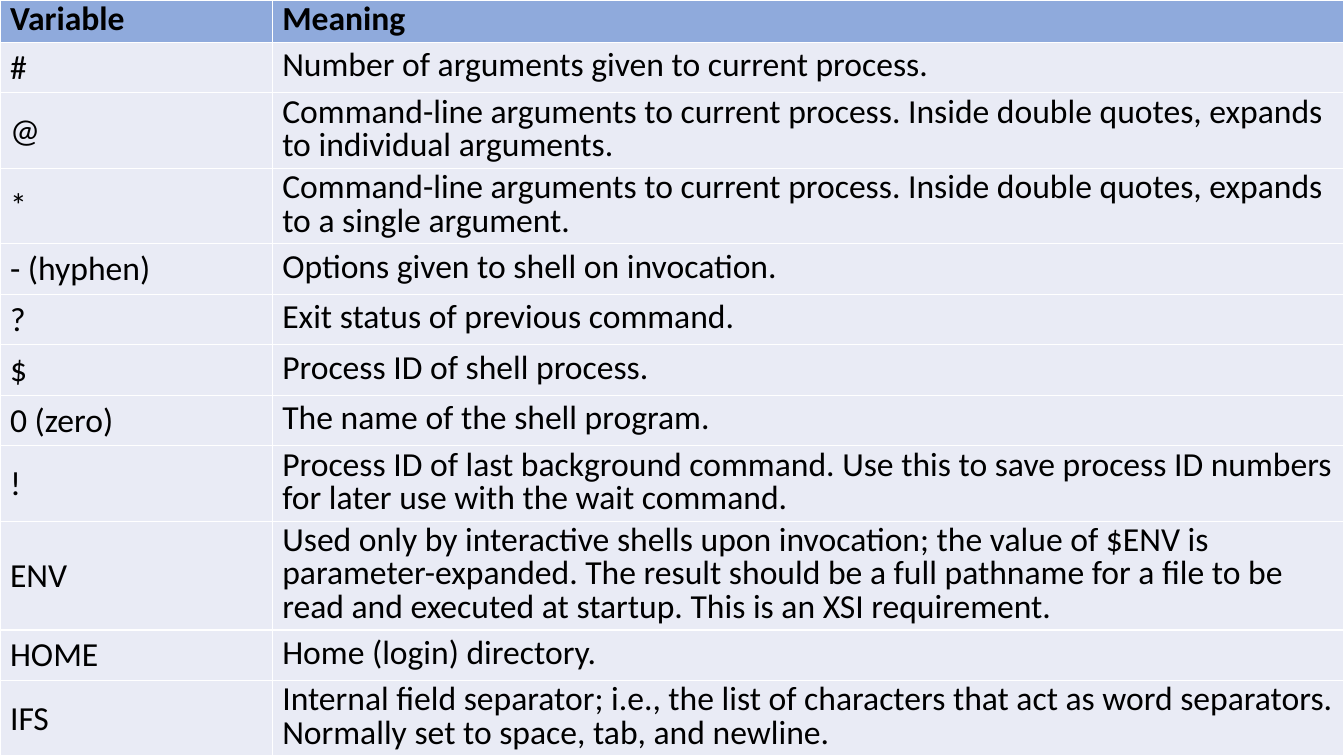
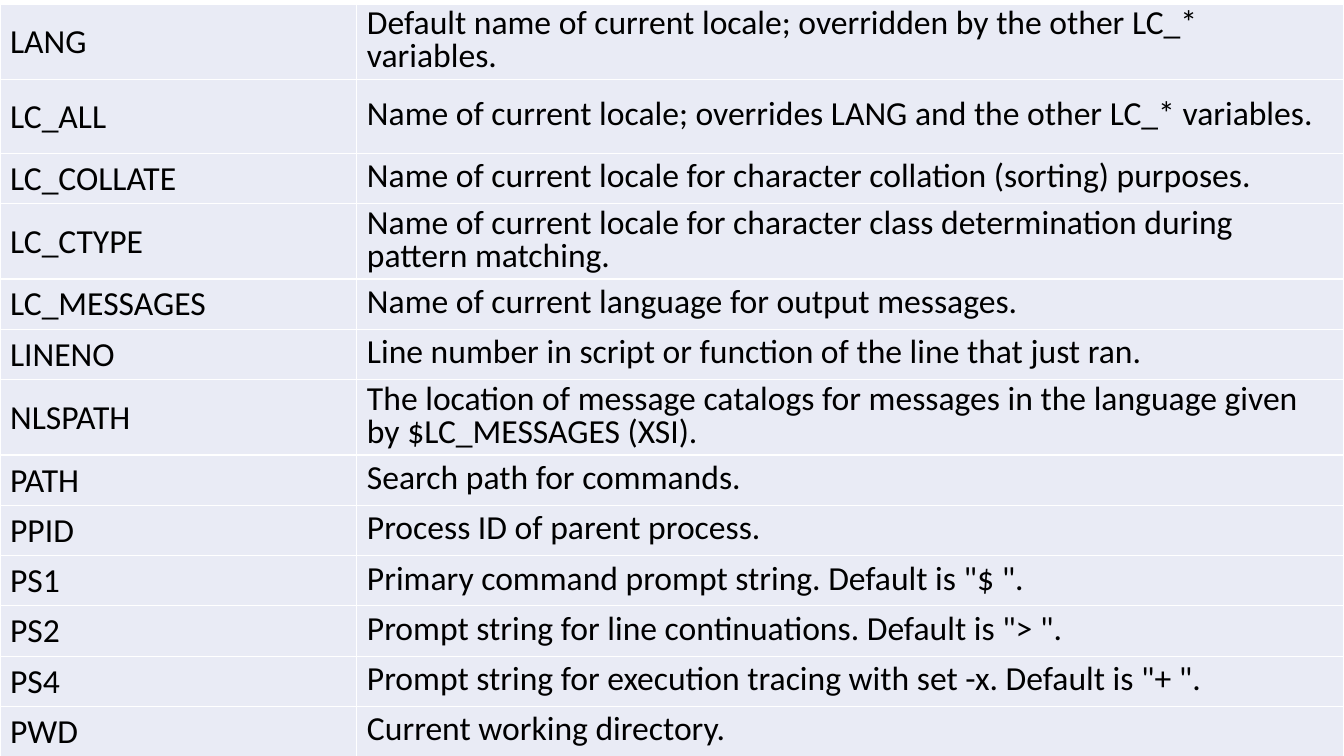
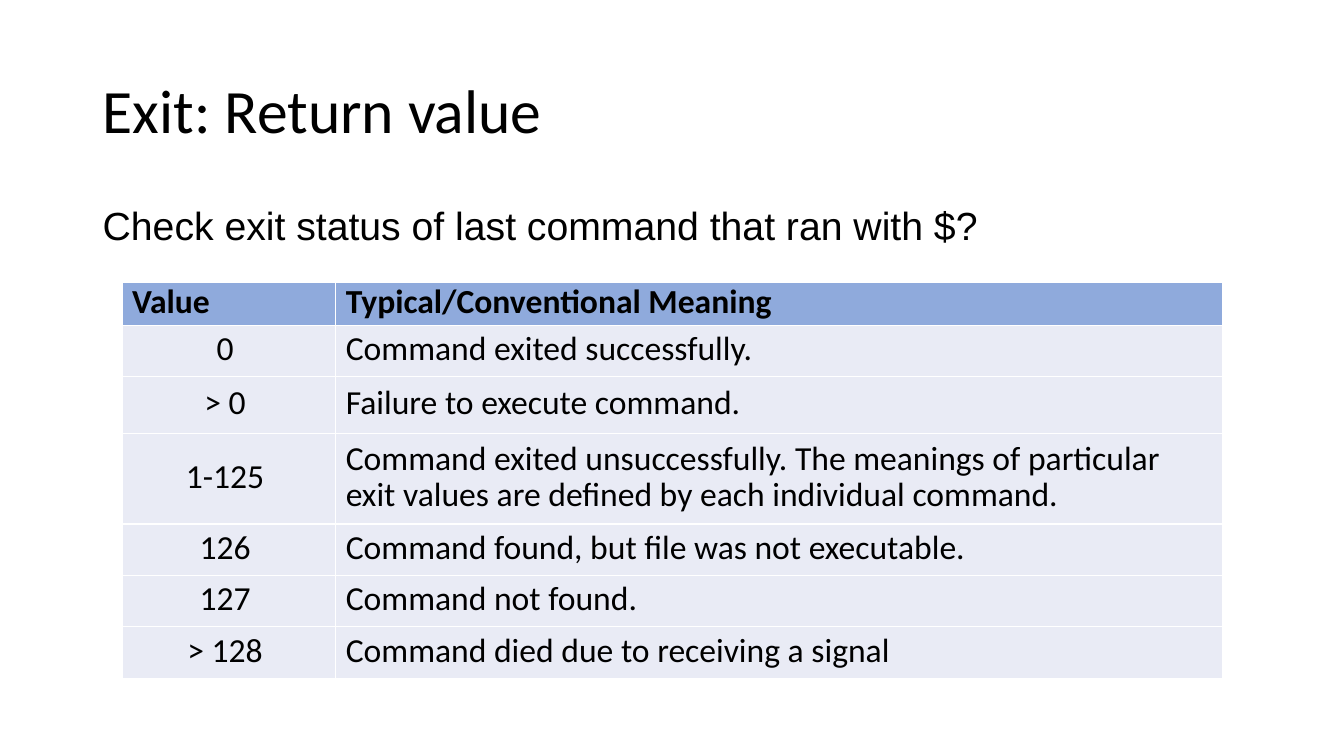
from dataclasses import dataclass
from typing import NamedTuple, Optional

from lxml import etree
from pptx import Presentation
from pptx import util as u
from pptx.dml.color import RGBColor
from pptx.enum import text
from pptx.oxml.ns import qn

SLIDE_WIDTH, SLIDE_HEIGHT = 13.33, 7.5
TITLE_ONLY, BLANK = 5, 6


@dataclass(frozen=True)
class Theme:
    ink: str = "000000"
    header_fill: str = "8FAADC"
    row_fill: str = "E9EBF5"
    border: str = "FFFFFF"
    border_width: float = 1
    table_font: str = "Calibri"
    body_font: str = "Arial"
    title_size: int = 44
    body_size: int = 28
    table_size: int = 24


THEME = Theme()


class Area(NamedTuple):
    left: float
    top: float
    width: float
    height: float

    def lengths(self) -> list[u.Length]:
        return [u.Inches(value) for value in self]


class CellStyle(NamedTuple):
    spacing: float
    top_inset: float
    align: text.PP_ALIGN = text.PP_ALIGN.LEFT


class Row(NamedTuple):
    key: str
    meaning: str
    lines: int = 1
    height: Optional[float] = None


@dataclass(frozen=True)
class Grid:
    """A two-column table; line_heights gives the row height for 1, 2, 3 lines."""
    area: Area
    key_width: float
    line_heights: tuple[float, ...]
    key_style: CellStyle
    meaning_style: CellStyle
    rows: tuple[Row, ...]
    header: Optional[Row] = None


NAME_STYLE = CellStyle(0.98, 0.05)
MEANING_STYLE = CellStyle(0.81, 0.04)
EXIT_STYLE = CellStyle(0.87, 0.03)

SHELL_VARIABLES = Grid(
    area=Area(0, 0, SLIDE_WIDTH, SLIDE_HEIGHT),
    key_width=2.7,
    line_heights=(0.5, 0.75, 1.08),
    key_style=NAME_STYLE,
    meaning_style=MEANING_STYLE,
    header=Row("Variable", "Meaning", height=0.42),
    rows=(
        Row("#", "Number of arguments given to current process."),
        Row("@", "Command-line arguments to current process. Inside double quotes, "
                 "expands to individual arguments.", 2),
        Row("*", "Command-line arguments to current process. Inside double quotes, "
                 "expands to a single argument.", 2),
        Row("- (hyphen)", "Options given to shell on invocation."),
        Row("?", "Exit status of previous command."),
        Row("$", "Process ID of shell process."),
        Row("0 (zero)", "The name of the shell program."),
        Row("!", "Process ID of last background command. Use this to save process ID "
                 "numbers for later use with the wait command.", 2),
        Row("ENV", "Used only by interactive shells upon invocation; the value of $ENV is "
                   "parameter-expanded. The result should be a full pathname for a file "
                   "to be read and executed at startup. This is an XSI requirement.", 3),
        Row("HOME", "Home (login) directory."),
        Row("IFS", "Internal field separator; i.e., the list of characters that act as "
                   "word separators. Normally set to space, tab, and newline.", 2),
    ),
)

LOCALE_VARIABLES = Grid(
    area=Area(0, 0.04, SLIDE_WIDTH, 7.38),
    key_width=3.54,
    line_heights=(0.49, 0.73),
    key_style=NAME_STYLE,
    meaning_style=MEANING_STYLE,
    rows=(
        Row("LANG", "Default name of current locale; overridden by the other LC_* variables.", 2),
        Row("LC_ALL", "Name of current locale; overrides LANG and the other LC_* variables.", 2),
        Row("LC_COLLATE", "Name of current locale for character collation (sorting) purposes."),
        Row("LC_CTYPE", "Name of current locale for character class determination during "
                        "pattern matching.", 2),
        Row("LC_MESSAGES", "Name of current language for output messages."),
        Row("LINENO", "Line number in script or function of the line that just ran."),
        Row("NLSPATH", "The location of message catalogs for messages in the language given "
                       "by $LC_MESSAGES (XSI).", 2),
        Row("PATH", "Search path for commands."),
        Row("PPID", "Process ID of parent process."),
        Row("PS1", 'Primary command prompt string. Default is "$ ".'),
        Row("PS2", 'Prompt string for line continuations. Default is "> ".'),
        Row("PS4", 'Prompt string for execution tracing with set -x. Default is "+ ".'),
        Row("PWD", "Current working directory."),
    ),
)

EXIT_VALUES = Grid(
    area=Area(1.21, 2.8, 10.92, 3.95),
    key_width=2.12,
    line_heights=(0.51, 0.9),
    key_style=EXIT_STYLE._replace(align=text.PP_ALIGN.CENTER),
    meaning_style=EXIT_STYLE,
    header=Row("Value", "Typical/Conventional Meaning", height=0.35),
    rows=(
        Row("0 ", "Command exited successfully."),
        Row("> 0 ", "Failure to execute command.", height=0.56),
        Row("1-125 ", "Command exited unsuccessfully. The meanings of particular exit values "
                      "are defined by each individual command.", 2),
        Row("126 ", "Command found, but file was not executable."),
        Row("127 ", "Command not found."),
        Row("> 128 ", "Command died due to receiving a signal"),
    ),
)


def write(frame, words: str, *, size: int, font: str, spacing: float = 0.9,
          bold: bool = False, align: text.PP_ALIGN = text.PP_ALIGN.LEFT) -> None:
    para = frame.paragraphs[0]
    para.alignment = align
    para.line_spacing = spacing
    span = para.add_run()
    span.text = words
    span.font.size = u.Pt(size)
    span.font.name = font
    span.font.bold = bold
    span.font.color.rgb = RGBColor.from_string(THEME.ink)


def add_borders(cell) -> None:
    properties = cell._tc.get_or_add_tcPr()
    for side in ("lnL", "lnR", "lnT", "lnB"):
        line = etree.SubElement(properties, qn(f"a:{side}"), w=str(u.Pt(THEME.border_width)))
        fill = etree.SubElement(line, qn("a:solidFill"))
        etree.SubElement(fill, qn("a:srgbClr"), val=THEME.border)


def fill_cell(cell, words: str, style: CellStyle, fill: str, bold: bool) -> None:
    add_borders(cell)
    cell.fill.solid()
    cell.fill.fore_color.rgb = RGBColor.from_string(fill)
    cell.vertical_anchor = text.MSO_ANCHOR.MIDDLE
    cell.margin_left = cell.margin_right = u.Inches(0.1)
    cell.margin_top = u.Inches(style.top_inset)
    cell.margin_bottom = u.Inches(0.05)
    write(cell.text_frame, words, size=THEME.table_size, font=THEME.table_font,
          spacing=style.spacing, bold=bold, align=style.align)


def add_grid(page, grid: Grid) -> None:
    rows = ((grid.header,) if grid.header else ()) + grid.rows
    table = page.shapes.add_table(len(rows), 2, *grid.area.lengths()).table
    table.first_row = grid.header is not None
    table.horz_banding = False
    table.columns[0].width = u.Inches(grid.key_width)
    table.columns[1].width = u.Inches(grid.area.width - grid.key_width)
    for index, row in enumerate(rows):
        table.rows[index].height = u.Inches(row.height or grid.line_heights[row.lines - 1])
        is_header = row is grid.header
        fill = THEME.header_fill if is_header else THEME.row_fill
        key_style = grid.meaning_style if is_header else grid.key_style
        fill_cell(table.cell(index, 0), row.key, key_style, fill, is_header)
        fill_cell(table.cell(index, 1), row.meaning, grid.meaning_style, fill, is_header)


def place(box, area: Area) -> None:
    box.left, box.top, box.width, box.height = area.lengths()


def add_page(deck, layout: int):
    return deck.slides.add_slide(deck.slide_layouts[layout])


def add_exit_page(deck) -> None:
    page = add_page(deck, TITLE_ONLY)
    title = page.shapes.title
    place(title, Area(0.92, 0.4, 11.5, 1.45))
    title.text_frame.auto_size = text.MSO_AUTO_SIZE.NONE
    title.text_frame.vertical_anchor = text.MSO_ANCHOR.MIDDLE
    write(title.text_frame, "Exit: Return value", size=THEME.title_size, font=THEME.table_font)

    body = page.shapes.add_textbox(*Area(0.92, 2, 11.5, 4.76).lengths())
    body.text_frame.word_wrap = True
    write(body.text_frame, "Check exit status of last command that ran with $?",
          size=THEME.body_size, font=THEME.body_font)
    add_grid(page, EXIT_VALUES)


def main() -> None:
    deck = Presentation()
    deck.slide_width = u.Inches(SLIDE_WIDTH)
    deck.slide_height = u.Inches(SLIDE_HEIGHT)
    for grid in (SHELL_VARIABLES, LOCALE_VARIABLES):
        add_grid(add_page(deck, BLANK), grid)
    add_exit_page(deck)
    deck.save("out.pptx")


if __name__ == "__main__":
    main()
